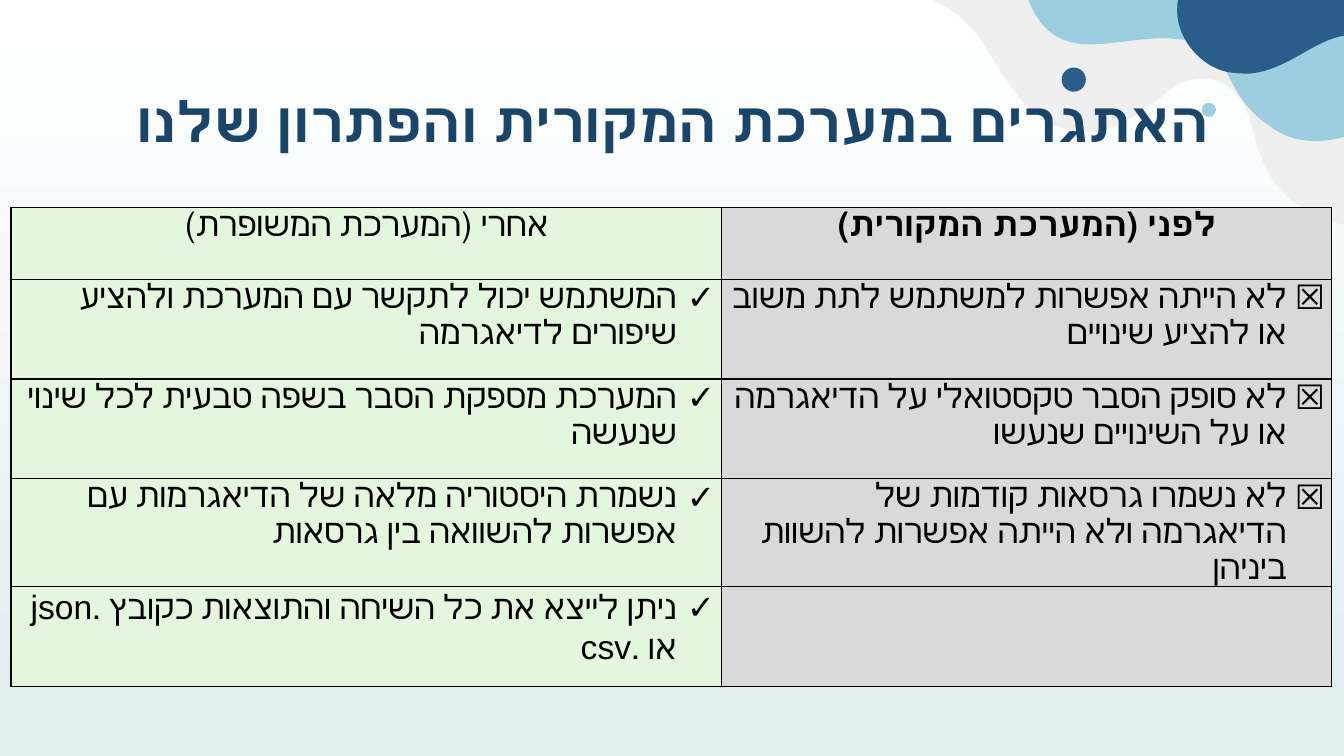
from lxml import etree
from pptx import Presentation
from pptx.dml.color import RGBColor
from pptx.enum import shapes, text
from pptx.oxml import ns
from pptx.util import Inches, Pt

NAVY = RGBColor(0x1A, 0x45, 0x68)
BLUE = RGBColor(0x28, 0x5E, 0x89)
SKY = RGBColor(0x9D, 0xCE, 0xDF)
MIST = RGBColor(0xEF, 0xEF, 0xEF)
WHITE = RGBColor(0xFF, 0xFF, 0xFF)
PALE_BLUE = RGBColor(0xE0, 0xED, 0xF1)
GREEN = RGBColor(0xE4, 0xF6, 0xDE)
GREY = RGBColor(0xD9, 0xD9, 0xD9)
BLACK = RGBColor(0, 0, 0)

# Each wave: colour, start point, then segments; six numbers make a curve, two a straight line.
WAVES = [
    (MIST, (9.27, -0.17), [
        (9.06, -0.17, 8.87, -0.16, 8.89, -0.11), (8.9, -0.07, 9.19, -0.03, 9.25, 0),
        (9.39, 0.06, 9.51, 0.15, 9.61, 0.25), (9.86, 0.49, 10.07, 1.22, 10.67, 1.3),
        (10.7, 1.31, 10.73, 1.31, 10.76, 1.31), (11.17, 1.31, 11.53, 0.93, 11.68, 0.84),
        (11.75, 0.8, 11.83, 0.78, 11.91, 0.78), (11.99, 0.78, 12.07, 0.79, 12.14, 0.83),
        (12.41, 0.98, 12.41, 1.34, 12.53, 1.61), (12.67, 1.95, 13.01, 2.19, 13.4, 2.24),
        (13.37, 1.5, 13.42, 0.76, 13.54, 0.03), (13.02, -0.06, 12.5, -0.07, 11.97, -0.09),
        (11.25, -0.11, 10.53, -0.14, 9.8, -0.16), (9.75, -0.16, 9.49, -0.17, 9.27, -0.17)]),
    (SKY, (13.05, 1.4), [
        (13.4, 1.4, 13.69, 1.19, 13.69, 1.19), (13.68, -0.11), (10.16, -0.11),
        (10.3, 0.34, 10.54, 0.44, 10.82, 0.44), (11.04, 0.44, 11.29, 0.38, 11.53, 0.38),
        (11.63, 0.38, 11.73, 0.39, 11.82, 0.41), (12.24, 0.52, 12.11, 0.94, 12.62, 1.27),
        (12.76, 1.37, 12.91, 1.4, 13.05, 1.4)]),
    (BLUE, (12.4, 0.73), [
        (12.34, 0.73, 12.28, 0.73, 12.21, 0.72), (11.96, 0.69, 11.72, 0.45, 11.68, 0.18),
        (11.66, 0, 11.71, -0.28, 11.91, -0.43), (11.99, -0.49, 12.05, -0.52, 12.12, -0.52),
        (12.17, -0.53, 12.22, -0.52, 12.28, -0.51), (12.9, -0.45, 13.53, -0.35, 14.15, -0.41),
        (14.2, -0.42, 14.26, -0.42, 14.32, -0.43), (14.29, -0.29, 14.3, -0.14, 14.28, 0),
        (14.26, 0.14, 14.19, 0.36, 14.06, 0.44), (14.03, 0.46, 14, 0.47, 13.97, 0.47),
        (13.8, 0.48, 13.63, 0.34, 13.38, 0.35), (13.38, 0.35, 13.37, 0.35, 13.37, 0.35),
        (13.04, 0.38, 12.79, 0.69, 12.4, 0.73)]),
]
DOTS = [(BLUE, 10.53, 0.67, 0.24), (SKY, 11.92, 1.02, 0.14)]

TITLE = "האתגרים במערכת המקורית והפתרון שלנו"
HEADERS = ["אחרי (המערכת המשופרת)", "לפני (המערכת המקורית)"]
# Each pair: runs of the "after" cell, runs of the "before" cell.
COMPARISONS = [
    (["המשתמש יכול לתקשר עם המערכת ולהציע שיפורים לדיאגרמה"],
     ["לא הייתה אפשרות למשתמש לתת משוב או להציע שינויים"]),
    (["המערכת מספקת הסבר בשפה טבעית לכל שינוי שנעשה"],
     ["לא סופק הסבר טקסטואלי על הדיאגרמה או על השינויים שנעשו"]),
    (["נשמרת היסטוריה מלאה של הדיאגרמות עם אפשרות להשוואה בין גרסאות"],
     ["לא נשמרו גרסאות קודמות של הדיאגרמה ולא הייתה אפשרות להשוות ביניהן"]),
    (["ניתן לייצא את כל השיחה והתוצאות כקובץ ", ".json ", "או ", ".csv"], []),
]


def add_xml(parent, tag, **attributes):
    return etree.SubElement(parent, ns.qn(tag), attributes)


def add_run(paragraph, words, size, font, color, bold=False):
    run = paragraph.add_run()
    run.text = words
    run.font.size = Pt(size)
    run.font.bold = bold
    run.font.color.rgb = color
    run.font.name = font


def paint(shape, color):
    shape.shadow.inherit = False
    shape.fill.solid()
    shape.fill.fore_color.rgb = color
    shape.line.fill.background()


def add_wave(slide, color, start, segments):
    """Build the outline through its anchor points, then bend the sides into curves."""
    anchors = [(Inches(x), Inches(y)) for x, y in [start] + [part[-2:] for part in segments]]
    builder = slide.shapes.build_freeform(*anchors[0])
    builder.add_line_segments(anchors[1:], close=True)
    wave = builder.convert_to_shape()
    paint(wave, color)
    sides = wave._element.findall(".//" + ns.qn("a:lnTo"))
    for side, segment in zip(sides, segments):
        if len(segment) == 2:
            continue
        side_curve = etree.Element(ns.qn("a:cubicBezTo"))
        for x, y in zip(segment[::2], segment[1::2]):
            add_xml(side_curve, "a:pt", x=str(Inches(x) - wave.left), y=str(Inches(y) - wave.top))
        side.getparent().replace(side, side_curve)


def add_background(slide):
    fill = slide.background.fill
    fill.gradient()
    fill.gradient_angle = 270
    for stop, color, position in zip(fill.gradient_stops, (WHITE, PALE_BLUE), (0, 1)):
        stop.color.rgb = color
        stop.position = position


def add_corner_waves(slide):
    for color, start, segments in WAVES:
        add_wave(slide, color, start, segments)
    for color, left, top, size in DOTS:
        dot = slide.shapes.add_shape(shapes.MSO_SHAPE.OVAL, Inches(left), Inches(top),
                                     Inches(size), Inches(size))
        paint(dot, color)


def add_title(slide, left, top, width, height):
    box = slide.shapes.add_textbox(Inches(left), Inches(top), Inches(width), Inches(height))
    frame = box.text_frame
    frame.word_wrap = True
    frame.margin_left = frame.margin_right = Inches(0.1)
    frame.margin_top = frame.margin_bottom = Inches(0.1)
    paragraph = frame.paragraphs[0]
    paragraph.alignment = text.PP_ALIGN.CENTER
    add_run(paragraph, TITLE, 40, "Calibri", NAVY, bold=True)


def style_cell(cell, color):
    """Set margins, a thin black border on every side, and the fill."""
    cell.margin_left = cell.margin_right = Inches(0.07)
    cell.margin_top = cell.margin_bottom = 0
    properties = cell._tc.get_or_add_tcPr()
    for side in "LRTB":
        line = add_xml(properties, f"a:ln{side}", w=str(Pt(1)))
        add_xml(add_xml(line, "a:solidFill"), "a:srgbClr", val=str(BLACK))
    cell.fill.solid()
    cell.fill.fore_color.rgb = color


def write_cell(cell, runs, space_after, bullet=None, bold=False):
    paragraph = cell.text_frame.paragraphs[0]
    paragraph.line_spacing = 1.07
    paragraph.space_after = Pt(space_after)
    paragraph.alignment = text.PP_ALIGN.RIGHT if bullet else text.PP_ALIGN.CENTER
    properties = paragraph._p.get_or_add_pPr()
    properties.set("rtl", "1")
    if bullet:
        properties.set("marL", str(Inches(0.38)))
        properties.set("indent", str(Inches(-0.38)))
        add_xml(add_xml(properties, "a:buClr"), "a:srgbClr", val=str(BLACK))
        add_xml(properties, "a:buFont", typeface="Arial")
        add_xml(properties, "a:buChar", char=bullet)
    for words in runs:
        font = "Arial" if words.startswith(".") else "Cabin"
        add_run(paragraph, words, 24, font, BLACK, bold)


def add_comparison_table(slide, left, top, widths, heights):
    frame = slide.shapes.add_table(len(heights), len(widths), Inches(left), Inches(top),
                                   Inches(sum(widths)), Inches(sum(heights)))
    table = frame.table
    table.first_row = table.horz_banding = False
    for column, width in zip(table.columns, widths):
        column.width = Inches(width)
    for row, height in zip(table.rows, heights):
        row.height = Inches(height)
    columns = zip((GREEN, GREY), ("✓", "☒"), (0, 8), (False, True))
    for index, (color, bullet, space_after, bold) in enumerate(columns):
        for row in range(len(heights)):
            style_cell(table.cell(row, index), color)
        write_cell(table.cell(0, index), [HEADERS[index]], 8, bold=bold)
        for row, pair in enumerate(COMPARISONS, start=1):
            if pair[index]:
                write_cell(table.cell(row, index), pair[index], space_after, bullet)


def main():
    presentation = Presentation()
    presentation.slide_width = Inches(13.33)
    presentation.slide_height = Inches(7.5)
    slide = presentation.slides.add_slide(presentation.slide_layouts[6])
    add_background(slide)
    add_corner_waves(slide)
    add_comparison_table(slide, 0.11, 2.06, [7.05, 6.05], [0.71] + [0.99] * 4)
    add_title(slide, 0.92, 0.76, 11.5, 1.45)
    presentation.save("out.pptx")


if __name__ == "__main__":
    main()
